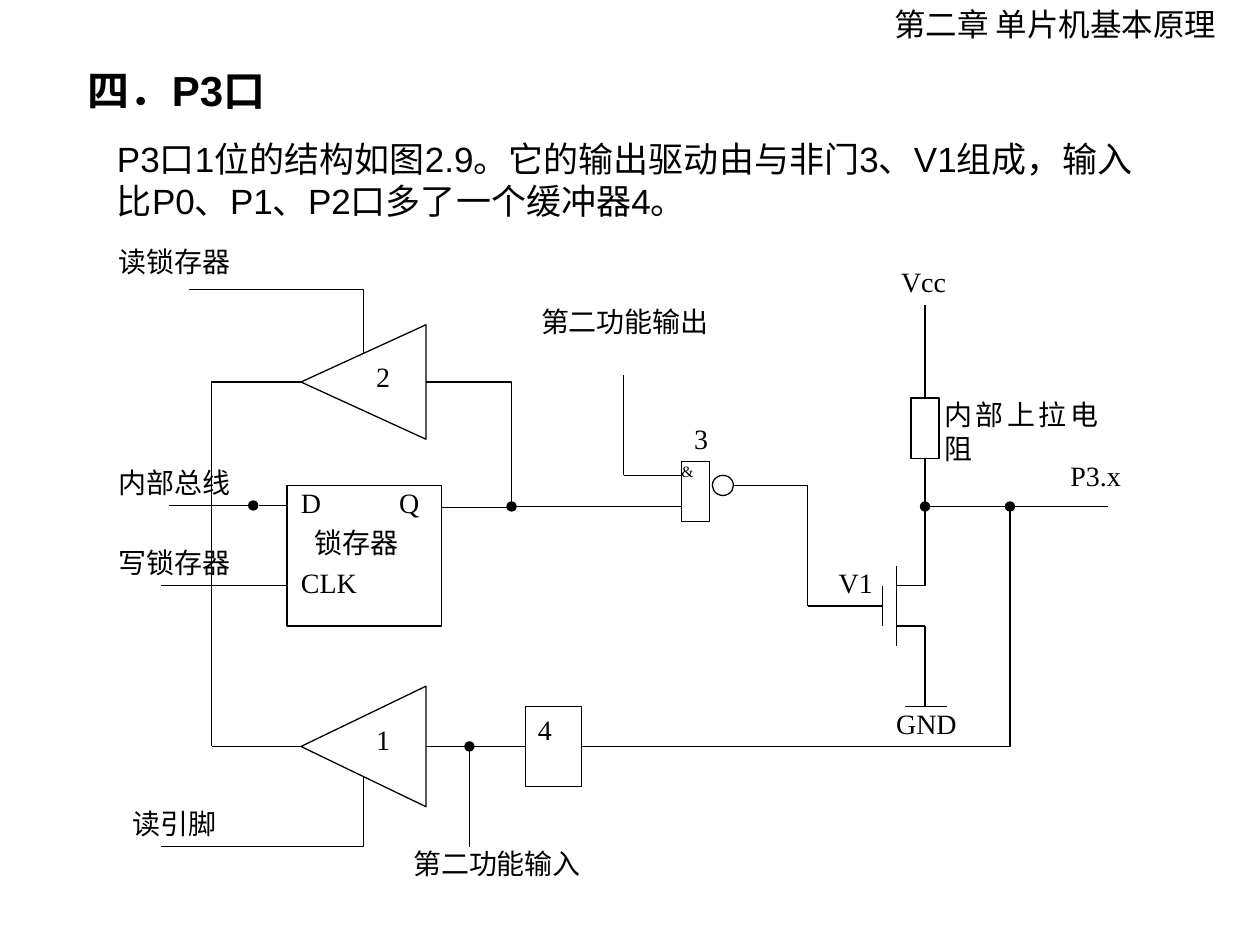
from dataclasses import dataclass

from pptx import Presentation
from pptx.dml.color import RGBColor
from pptx.enum.shapes import MSO_CONNECTOR as Connector, MSO_SHAPE as Shape
from pptx.enum.text import MSO_ANCHOR as Anchor, PP_ALIGN as Align
from pptx.oxml.ns import qn
from pptx.oxml.xmlchemy import OxmlElement
from pptx.util import Inches, Pt


@dataclass(frozen=True)
class Theme:
    ink: RGBColor = RGBColor(0, 0, 0)
    paper: RGBColor = RGBColor(255, 255, 255)
    chinese: str = "Noto Sans CJK JP"
    sans: str = "Arial"
    serif: str = "Times New Roman"
    chapter: int = 18
    title: int = 24
    body: int = 20
    label: int = 16
    gate: int = 9
    line: float = 0.75


THEME = Theme()
NO_INSETS = (0, 0, 0, 0)
TEXT_INSETS = (0.1, 0.05, 0.1, 0.05)


def write(shape, text, size, font=THEME.serif, insets=NO_INSETS, align=Align.JUSTIFY,
          anchor=Anchor.TOP, wrap=True, bold=False):
    frame = shape.text_frame
    frame.margin_left, frame.margin_top, frame.margin_right, frame.margin_bottom = map(Inches, insets)
    frame.word_wrap = wrap
    frame.vertical_anchor = anchor
    frame.text = text
    paragraph = frame.paragraphs[0]
    paragraph.alignment = align
    for run in paragraph.runs:
        run.font.size = Pt(size)
        run.font.bold = bold
        run.font.color.rgb = THEME.ink
        run.font.name = font
        east_asian = OxmlElement("a:ea")
        east_asian.set("typeface", THEME.chinese)
        run.font._element.append(east_asian)


@dataclass
class Grid:
    """Draws parts at columns and rows counted from its own corner; lengths in inches."""
    slide: object
    left: float
    top: float
    column: float
    row: float

    def region(self, column, row):
        return Grid(self.slide, self.left + column * self.column,
                    self.top + row * self.row, self.column, self.row)

    def point(self, column, row):
        return Inches(self.left + column * self.column), Inches(self.top + row * self.row)

    def box(self, column, row, columns, rows):
        return *self.point(column, row), Inches(columns * self.column), Inches(rows * self.row)

    def label(self, text, column, row, columns):
        write(self.slide.shapes.add_textbox(*self.box(column, row, columns, 2)), text, THEME.label)

    def block(self, column, row, columns, rows, kind=Shape.RECTANGLE):
        shape = self.slide.shapes.add_shape(kind, *self.box(column, row, columns, rows))
        shape.shadow.inherit = False
        shape.fill.solid()
        shape.fill.fore_color.rgb = THEME.paper
        shape.line.color.rgb = THEME.ink
        shape.line.width = Pt(THEME.line)
        return shape

    def buffer(self, name, column, row, columns, rows):
        """Triangle that points left and fills the given cells."""
        triangle = self.block(column, row, columns, rows, Shape.ISOSCELES_TRIANGLE)
        width, height = triangle.width, triangle.height
        triangle.left += (width - height) // 2
        triangle.top += (height - width) // 2
        triangle.width, triangle.height = height, width
        triangle.rotation = 270
        write(triangle, name, THEME.label, insets=(0.05, 0.1, 0.05, 0.1))
        triangle.text_frame._txBody.bodyPr.set("vert", "eaVert")

    def wire(self, start, end, dot=False, kind=Connector.STRAIGHT):
        wire = self.slide.shapes.add_connector(kind, *self.point(*start), *self.point(*end))
        wire.line.color.rgb = THEME.ink
        wire.line.width = Pt(THEME.line)
        if dot:
            head = OxmlElement("a:headEnd")
            head.set("type", "oval")
            wire.line._get_or_add_ln().append(head)
        wire._element.spPr.append(OxmlElement("a:effectLst"))
        return wire

    def corner(self, start, end):
        """Wire that runs level from start, then upright to end."""
        wire = self.wire(start, end, kind=Connector.ELBOW)
        wire._element.spPr.find(qn("a:prstGeom")).set("prst", "bentConnector2")


def add_heading(slide, width, height):
    def text_box(left, top, across, down, text, size, font, **options):
        box = slide.shapes.add_textbox(int(width * left), int(height * top),
                                       int(width * across), int(height * down))
        write(box, text, size, font, TEXT_INSETS, Align.LEFT, Anchor.MIDDLE, **options)

    text_box(0.7, 0, 0.28, 0.05, "第二章 单片机基本原理", THEME.chapter, THEME.chinese, wrap=False)
    text_box(0.06, 0.06, 0.18, 0.07, "四．P3口", THEME.title, THEME.sans, wrap=False, bold=True)
    text_box(0.083, 0.139, 0.835, 0.103,
             "P3口1位的结构如图2.9。它的输出驱动由与非门3、V1组成，"
             "输入比P0、P1、P2口多了一个缓冲器4。", THEME.body, THEME.sans)


def add_latch_reader(grid):
    grid.buffer("2", 13, 4, 8.9, 5.7)
    grid.corner((5, 2.25), (17.45, 5.4))
    grid.corner((21.9, 6.85), (28, 13.1))
    grid.corner((13, 6.85), (6.65, 25))
    grid.wire((6.65, 25), (13, 25))
    grid.label("读锁存器", 0, 0, 8)


def add_latch(grid):
    grid.block(12, 1, 11, 7)
    grid.wire((12, 2), (10, 2))
    grid.wire((9.6, 2), (3.6, 2), dot=True)
    grid.wire((12, 6), (3, 6))
    grid.wire((28, 2.1), (23, 2.1))
    for text, column, row, columns in (
            ("D", 13, 1, 3), ("Q", 20, 1, 3), ("CLK", 13, 5, 5), ("锁存器", 14, 3, 8),
            ("内部总线", 0, 0, 8), ("写锁存器", 0, 4, 8)):
        grid.label(text, column, row, columns)


def add_nand_gate(grid):
    grid.wire((8, 11.5), (8, 6.5))
    grid.wire((12.1, 11.5), (8, 11.5))
    grid.wire((0, 13.05), (12.1, 13.05), dot=True)
    write(grid.block(12.1, 10.8, 2, 3), "&", THEME.gate)
    grid.block(14.3, 11.5, 1.5, 1, Shape.FLOWCHART_CONNECTOR)
    grid.corner((15.8, 12), (21.1, 18))
    grid.label("3", 13, 8.8, 2)
    grid.label("第二功能输出", 2.1, 3, 13)


def add_output_driver(grid):
    drain, pin, base = 8.45, 14.5, 13.05
    resistor = grid.block(drain - 1, 7.65, 2, 3)
    grid.wire((drain, 7.65), (drain, 3)).begin_connect(resistor, 0)
    grid.wire((drain, 17), (drain, 10.65)).end_connect(resistor, 2)
    for start, end in (
            ((0.1, 18), (5.4, 18)), ((5.4, 17), (5.4, 19)), ((6.4, 16), (6.4, 20)),
            ((6.4, 17), (drain, 17)), ((6.4, 19), (drain, 19)),
            ((drain, 19), (drain, 23)), ((7, 23), (10, 23))):
        grid.wire(start, end)
    grid.wire((drain, base), (pin, base), dot=True)
    grid.wire((pin, base), (21.45, base), dot=True)
    for text, column, row, columns in (
            ("Vcc", 6.75, 1, 8), ("内部上拉电阻", 9.8, 7.65, 11), ("P3.x", 18.8, 10.65, 4.1),
            ("V1", 2.3, 16, 3), ("GND", 6.4, 23, 8)):
        grid.label(text, column, row, columns)


def add_pin_reader(grid):
    grid.buffer("1", 13, 0, 8.9, 6)
    grid.corner((3, 8), (17.45, 4.5))
    input_buffer = grid.block(29, 1, 4, 4)
    write(input_buffer, "4", THEME.label, insets=TEXT_INSETS)
    grid.wire((21.9, 3), (29, 3)).end_connect(input_buffer, 1)
    grid.wire((25, 3), (25, 8), dot=True)
    grid.corner((33, 3), (63.5, -8.95))
    grid.label("读引脚", 1, 6, 8)
    grid.label("第二功能输入", 21, 8, 13)


def main():
    presentation = Presentation()
    presentation.slide_width, presentation.slide_height = Inches(10), Inches(7.5)
    slide = presentation.slides.add_slide(presentation.slide_layouts[6])
    add_heading(slide, presentation.slide_width, presentation.slide_height)
    circuit = Grid(slide, 0.94, 1.94, 7.8 / 70, 5.1 / 32)
    add_latch_reader(circuit)
    add_pin_reader(circuit.region(0, 22))
    add_latch(circuit.region(0, 11))
    add_output_driver(circuit.region(49, 0))
    add_nand_gate(circuit.region(28, 0))
    presentation.save("out.pptx")


if __name__ == "__main__":
    main()
